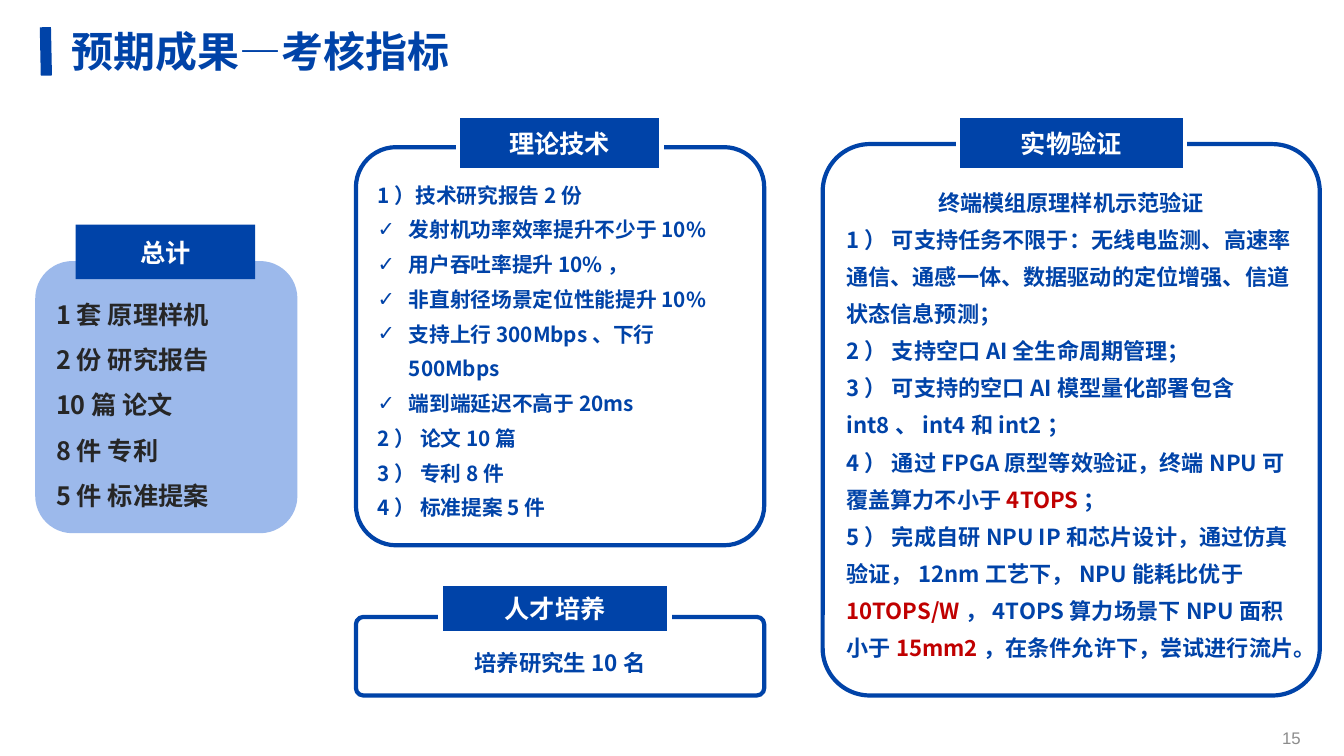
"""Build the slide on expected results and assessment targets."""
from lxml import etree
from pptx import Presentation
from pptx.dml.color import RGBColor
from pptx.enum import shapes, text
from pptx.oxml import ns
from pptx.util import Inches, Pt

CJK = "Noto Sans CJK SC"
BLUE, PALE, RED = "0043A8", "9CB9EB", "C00000"
WHITE, DARK, GRAY = "FFFFFF", "262626", "8C8C8C"
LEFT, CENTER, RIGHT = text.PP_ALIGN.LEFT, text.PP_ALIGN.CENTER, text.PP_ALIGN.RIGHT

TOTALS = ["1套 原理样机", "2份 研究报告", "10篇 论文", "8件 专利", "5件 标准提案"]
THEORY_REPORT = "1）技术研究报告2份"
THEORY_CHECKS = [
    "发射机功率效率提升不少于10%",
    "用户吞吐率提升10%，",
    "非直射径场景定位性能提升10%",
    "支持上行300Mbps、下行500Mbps",
    "端到端延迟不高于20ms",
]
THEORY_REST = ["2） 论文10篇", "3） 专利8件", "4） 标准提案5件"]
PROTOTYPE_HEADING = "终端模组原理样机示范验证"
PROTOTYPE = [
    ["1） 可支持任务不限于：无线电监测、高速率通信、通感一体、数据驱动的定位增强、信道状态信息预测；"],
    ["2） 支持空口AI全生命周期管理；"],
    ["3） 可支持的空口AI模型量化部署包含int8、int4和int2；"],
    ["4） 通过FPGA原型等效验证，终端NPU可覆盖算力不小于", ("4TOPS", RED), "；"],
    ["5） 完成自研NPU IP和芯片设计，通过仿真验证，12nm工艺下，NPU能耗比优于",
     ("10TOPS/W", RED), "，4TOPS算力场景下NPU面积小于", ("15mm2", RED),
     "，在条件允许下，尝试进行流片。"],
]


def rgb(value):
    """Turn a hex string into a colour."""
    return RGBColor.from_string(value)


def add_span(para, words, size, color, font=CJK, bold=True):
    """Add one formatted run for Latin and East Asian text."""
    span = para.add_run()
    span.text = words
    span.font.size = Pt(size)
    span.font.bold = bold
    span.font.color.rgb = rgb(color)
    span.font.name = font
    east_asian = etree.SubElement(span.font._element, ns.qn("a:ea"))
    east_asian.set("typeface", font)


def add_check(para):
    """Give a paragraph a hanging check mark."""
    properties = para._p.get_or_add_pPr()
    properties.set("marL", str(Inches(0.31)))
    properties.set("indent", str(Inches(-0.31)))
    etree.SubElement(properties, ns.qn("a:buFont")).set("typeface", "Arial")
    etree.SubElement(properties, ns.qn("a:buChar")).set("char", "✓")


def write(box, items, size, color, align=LEFT, spacing=1.0, font=CJK, bold=True):
    """Fill a shape with paragraphs of plain or coloured spans."""
    frame = box.text_frame
    frame.word_wrap = True
    frame.auto_size = text.MSO_AUTO_SIZE.NONE
    frame.vertical_anchor = text.MSO_ANCHOR.MIDDLE
    for index, item in enumerate(items):
        para = frame.add_paragraph() if index else frame.paragraphs[0]
        para.alignment = align
        para.line_spacing = spacing
        for part in [item] if isinstance(item, str) else item:
            words, hue = (part, color) if isinstance(part, str) else part
            add_span(para, words, size, hue, font, bold)
    return frame.paragraphs


def add_box(page, place, corner, fill=None, line=None):
    """Add a rounded rectangle with optional fill and outline."""
    box = page.shapes.add_shape(
        shapes.MSO_SHAPE.ROUNDED_RECTANGLE, *map(Inches, place))
    box.adjustments[0] = corner
    box.shadow.inherit = False
    if fill:
        box.fill.solid()
        box.fill.fore_color.rgb = rgb(fill)
    else:
        box.fill.background()
    if line:
        box.line.color.rgb = rgb(line)
        box.line.width = Pt(3)
    else:
        box.line.fill.background()
    return box


def add_label(page, place, words, line=WHITE):
    """Add a blue heading label over a panel."""
    write(add_box(page, place, 0, BLUE, line), [words], 18, WHITE, CENTER)


def add_title(page, words):
    """Place the slide title and the bar beside it."""
    title = page.shapes.title
    title.left, title.top, title.width, title.height = map(
        Inches, (0.71, 0.09, 5.16, 0.83))
    frame = title.text_frame
    frame.margin_left = frame.margin_right = Inches(0)
    frame.margin_top = frame.margin_bottom = Inches(0)
    write(title, [words], 30, BLUE)
    bar = page.shapes.add_connector(
        shapes.MSO_CONNECTOR.STRAIGHT, *map(Inches, (0.45, 0.27, 0.46, 0.75)))
    bar.line.color.rgb = rgb(BLUE)
    bar.line.width = Pt(8)
    etree.SubElement(bar._element.spPr, ns.qn("a:effectLst"))


def add_theory(page):
    """Add the panel of theory and technology targets."""
    panel = add_box(page, (3.53, 1.46, 4.05, 3.95), 0.101, line=BLUE)
    items = [THEORY_REPORT, *THEORY_CHECKS, *THEORY_REST]
    paras = write(panel, items, 14.8, BLUE, spacing=1.4)
    for para in paras[1:1 + len(THEORY_CHECKS)]:
        add_check(para)
    add_label(page, (4.54, 1.15, 2.02, 0.54), "理论技术")


def add_training(page):
    """Add the panel on training students."""
    panel = add_box(page, (3.53, 6.12, 4.05, 0.78), 0.095, line=BLUE)
    write(panel, ["培养研究生10名"], 16, BLUE, CENTER, 1.5)
    add_label(page, (4.37, 5.79, 2.27, 0.49), "人才培养")


def add_prototype(page):
    """Add the panel on verification with a prototype."""
    panel = add_box(page, (8.16, 1.43, 4.93, 5.47), 0.095, line=BLUE)
    paras = write(panel, [PROTOTYPE_HEADING, *PROTOTYPE], 15.8, BLUE, spacing=1.4)
    paras[0].alignment = CENTER
    add_label(page, (9.5, 1.15, 2.25, 0.54), "实物验证")


def add_totals(page):
    """Add the panel of totals."""
    panel = add_box(page, (0.35, 2.59, 2.6, 2.7), 0.142, PALE)
    write(panel, TOTALS, 18, DARK, spacing=1.5)
    add_label(page, (0.75, 2.23, 1.78, 0.54), "总计", None)


def add_page_number(page, number):
    """Add the page number at the bottom right."""
    box = page.shapes.add_textbox(*map(Inches, (11.87, 7.13, 1.13, 0.38)))
    write(box, [number], 12, GRAY, RIGHT, font="Arial", bold=False)


def main():
    """Build and save the deck."""
    deck = Presentation()
    deck.slide_width, deck.slide_height = Inches(13.33), Inches(7.5)
    page = deck.slides.add_slide(deck.slide_layouts[5])
    add_title(page, "预期成果—考核指标")
    add_theory(page)
    add_training(page)
    add_prototype(page)
    add_totals(page)
    add_page_number(page, "15")
    deck.save("out.pptx")


if __name__ == "__main__":
    main()
